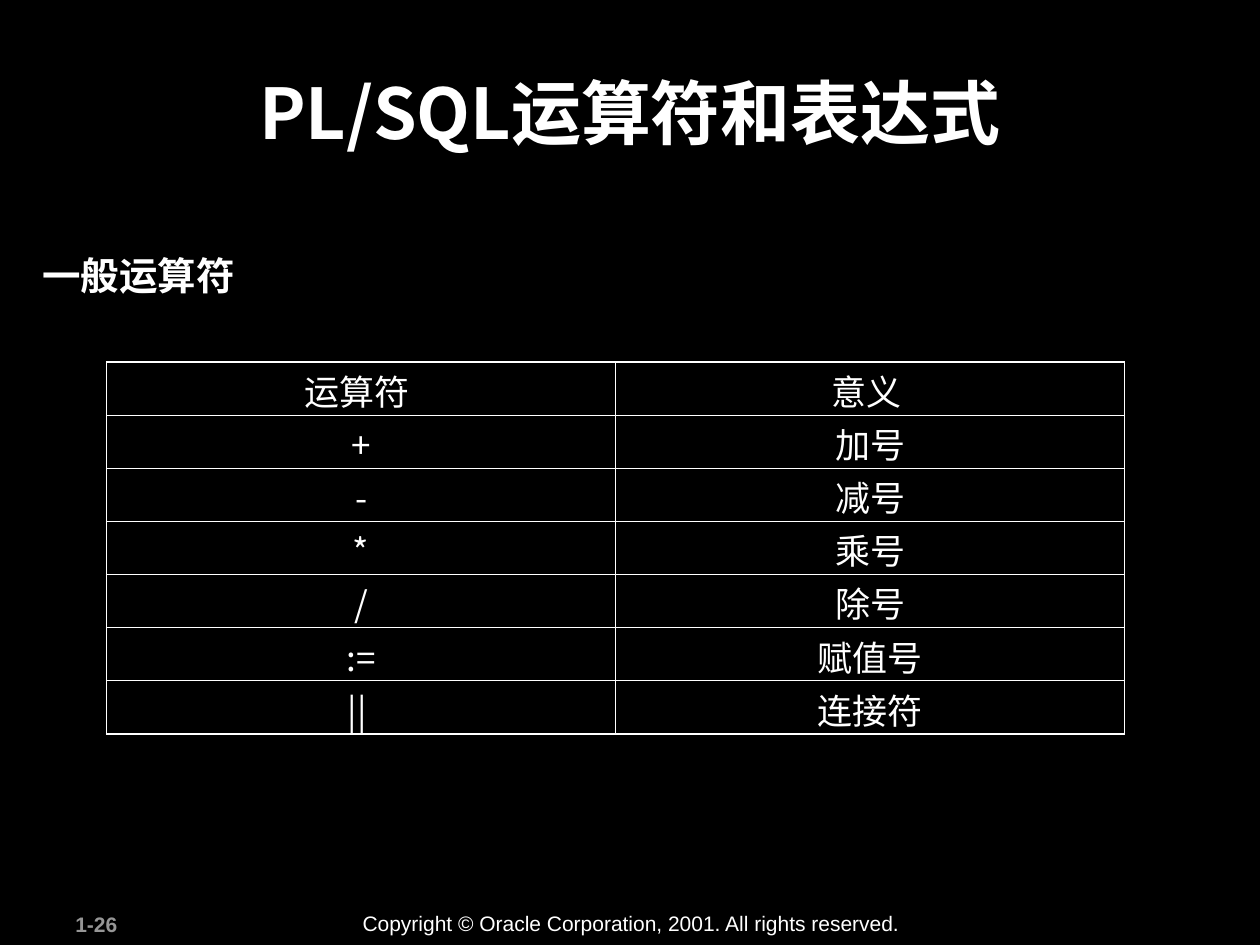
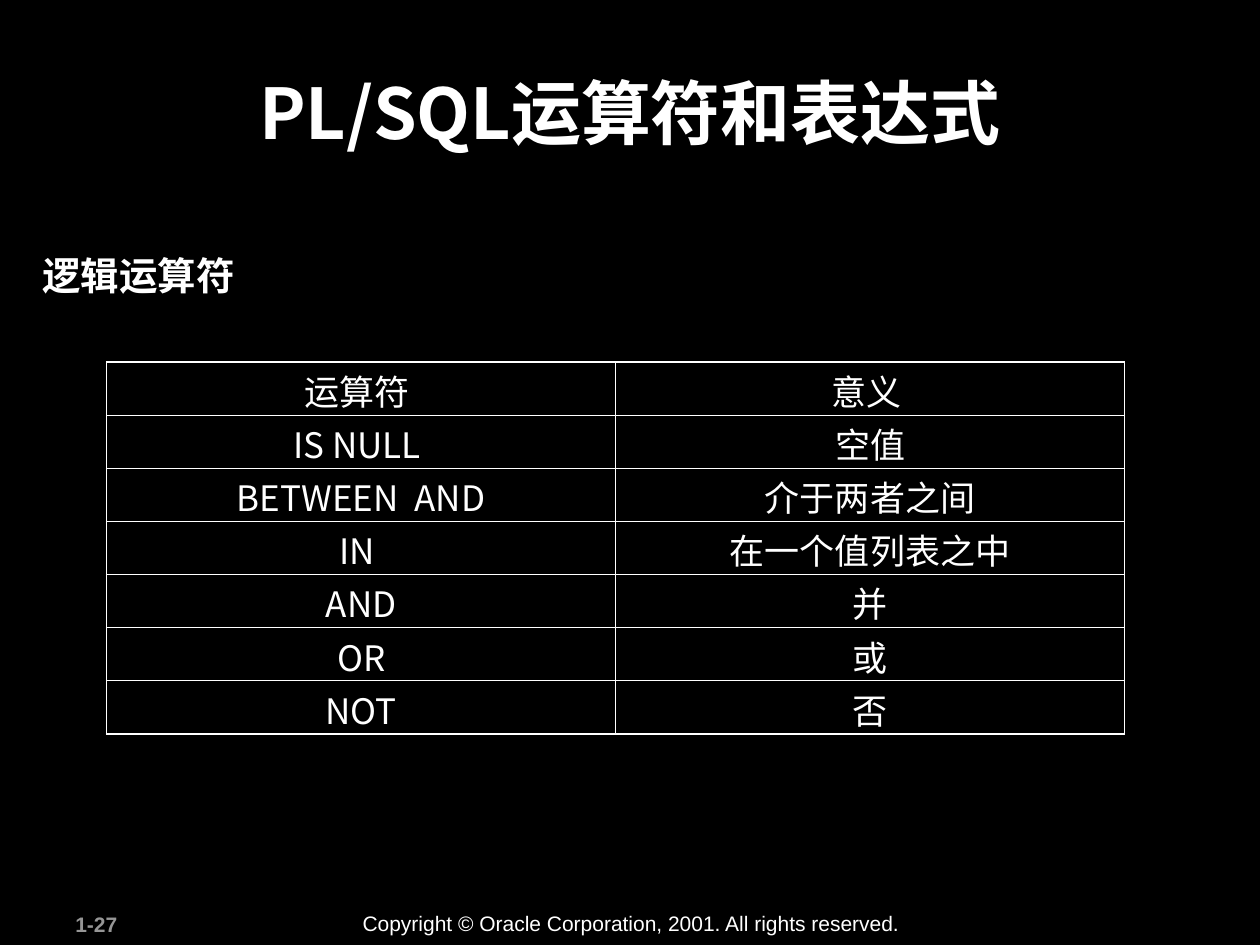
from lxml import etree
from pptx import Presentation
from pptx.dml.color import RGBColor as Rgb
from pptx.enum.lang import MSO_LANGUAGE_ID as Lang
from pptx.enum.text import MSO_ANCHOR as Anchor, PP_ALIGN as Align
from pptx.oxml.ns import qn
from pptx.util import Cm, Pt

COLORS = {"back": "000000", "text": "FFFFFF", "page": "969696"}
SANS, HAN = "Arial", "Noto Sans CJK SC"
THICK, THIN = Pt(1.08), Pt(0.45)
COPY = "Copyright © Oracle Corporation, 2001. All rights reserved."
HEAD = ("运算符 ", "意义 ")
TOPICS = [
    ("1-26", "一般运算符", [
        ("+", "加号"),
        ("-", "减号"),
        ("*", "乘号"),
        ("/", "除号"),
        (":=", "赋值号"),
        ("|| ", "连接符"),
    ]),
    ("1-27", "逻辑运算符", [
        ("IS NULL ", "空值"),
        ("BETWEEN  AND", "介于两者之间"),
        ("IN ", "在一个值列表之中"),
        ("AND", "并"),
        ("OR", "或"),
        ("NOT", "否"),
    ]),
]


def add_run(para, text, size, face=SANS, bold=False, color="text"):
    """Add a run whose Latin and East Asian text share one face."""
    run = para.add_run()
    run.text = text
    font = run.font
    font.size, font.bold, font.name = Pt(size), bold, face
    font.color.rgb = Rgb.from_string(COLORS[color])
    font.language_id = Lang.SIMPLIFIED_CHINESE
    latin = run._r.rPr.find(qn("a:latin"))
    east = etree.Element(qn("a:ea"), typeface=face)
    latin.addnext(east)


def add_box(slide, left, top, width, height):
    """Add a wrapping text box and return its first paragraph."""
    box = slide.shapes.add_textbox(Cm(left), Cm(top), Cm(width), Cm(height))
    box.text_frame.word_wrap = True
    return box.text_frame.paragraphs[0]


def add_footer(slide, page):
    para = add_box(slide, 1.27, 18.26, 2.67, 0.76)
    add_run(para, page, 12, bold=True, color="page")
    para = add_box(slide, 7.06, 18.24, 11.38, 0.76)
    add_run(para, COPY, 12)


def add_title(slide):
    para = add_box(slide, 2.39, 1.47, 20.57, 2.44)
    para.alignment = Align.CENTER
    para.line_spacing = 0.9
    add_run(para, " PL/SQL", 40, HAN, True)
    add_run(para, "运算符和表达式", 40, bold=True)
    add_run(para, " ", 28, bold=True)


def add_topic(slide, text):
    para = add_box(slide, 0.61, 5.03, 8.18, 1.14)
    para.line_spacing = 0.95
    add_run(para, text, 22, bold=True)


def set_edge(cell, side, width):
    line = etree.SubElement(cell._tc.get_or_add_tcPr(), qn("a:ln" + side),
                            w=str(width))
    fill = etree.SubElement(line, qn("a:solidFill"))
    etree.SubElement(fill, qn("a:srgbClr"), val=COLORS["text"])


def fill_cell(cell, text, outer):
    """Write a cell; the sides named in outer get the thick line."""
    for side in "LRTB":
        set_edge(cell, side, THICK if side in outer else THIN)
    cell.fill.background()
    cell.vertical_anchor = Anchor.TOP
    cell.margin_top, cell.margin_bottom = Cm(0.14), 0
    para = cell.text_frame.paragraphs[0]
    para.alignment = Align.CENTER
    para.line_spacing = 0.9
    add_run(para, text, 20, HAN)


def add_grid(slide, rows):
    high, wide = Cm(1.07), Cm(10.26)
    count = len(rows)
    table = slide.shapes.add_table(count, 2, Cm(2.15), Cm(7.3),
                                   2 * wide, count * high).table
    table.first_row = table.horz_banding = False
    for col in table.columns:
        col.width = wide
    for i, row in enumerate(rows):
        table.rows[i].height = high
        ends = ("T" if i == 0 else "") + ("B" if i == count - 1 else "")
        for j, text in enumerate(row):
            fill_cell(table.cell(i, j), text, ends + "LR"[j])


def main():
    prs = Presentation()
    prs.slide_width, prs.slide_height = Cm(25.4), Cm(19.05)
    back = prs.slide_master.background.fill
    back.solid()
    back.fore_color.rgb = Rgb.from_string(COLORS["back"])
    for page, topic, rows in TOPICS:
        slide = prs.slides.add_slide(prs.slide_layouts[6])
        add_footer(slide, page)
        add_title(slide)
        add_topic(slide, topic)
        add_grid(slide, [HEAD] + rows)
    prs.save("out.pptx")


if __name__ == "__main__":
    main()
